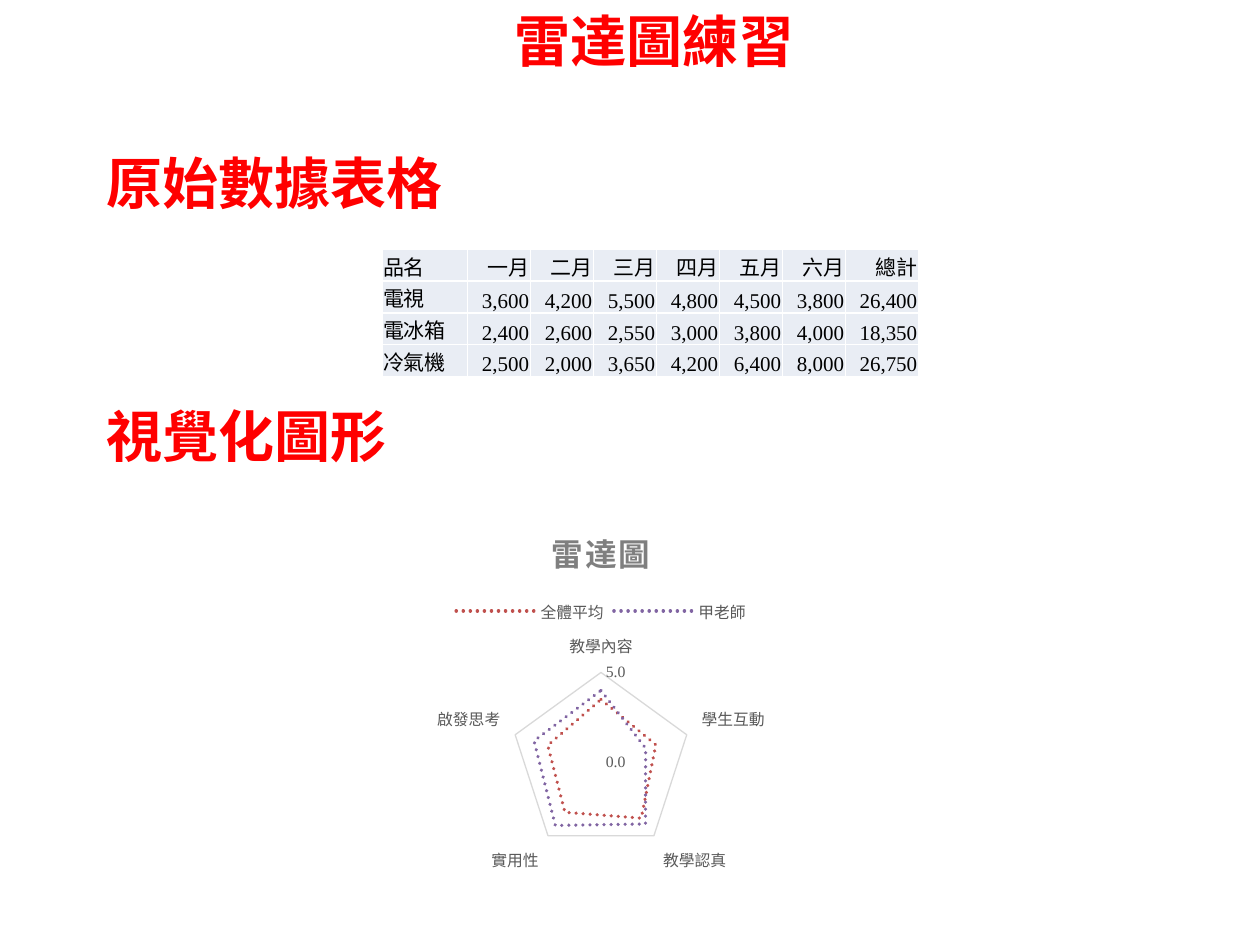
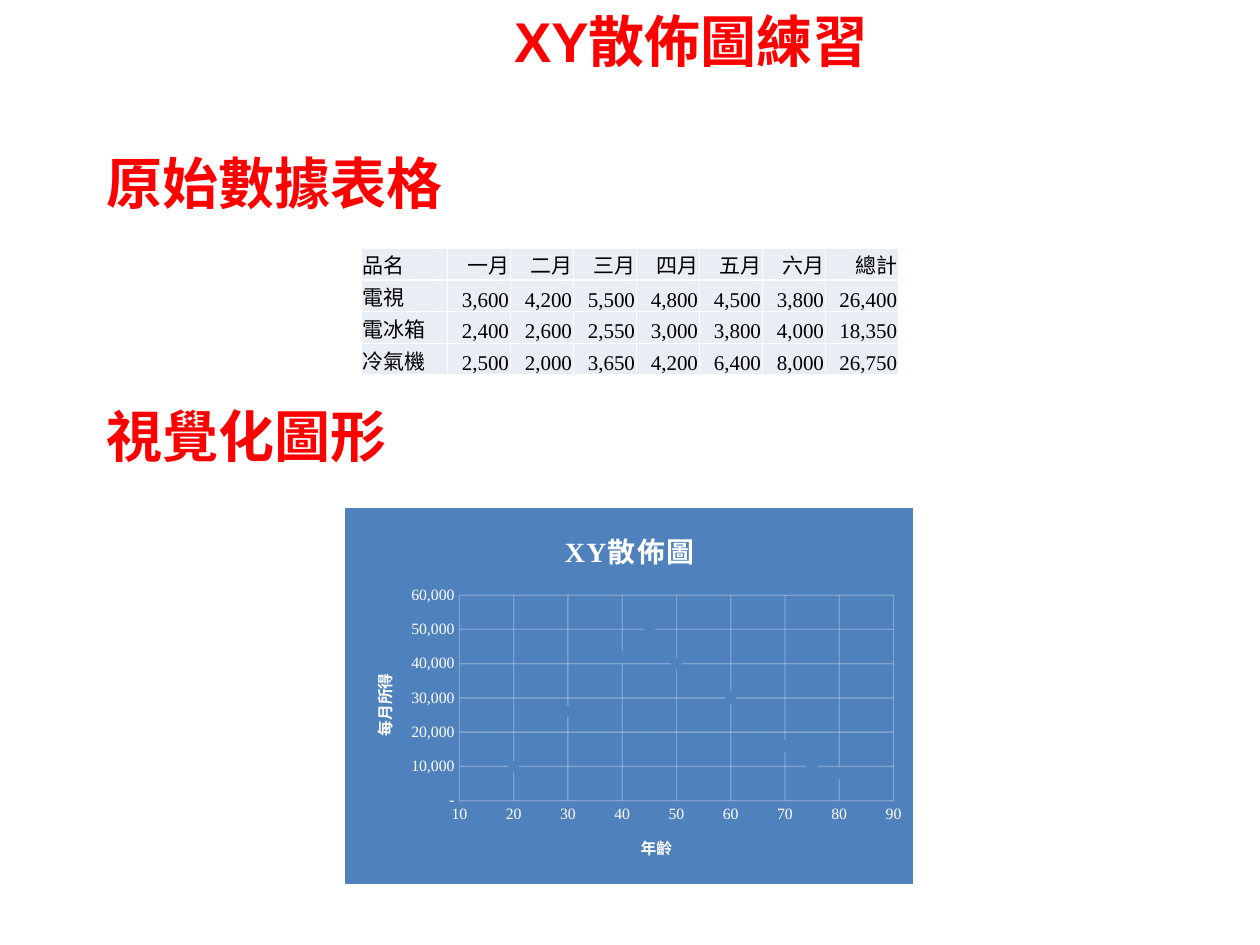
"""Build two practice slides, each with a sales table and a chart: radar and XY scatter."""
from lxml import etree
from pptx import Presentation
from pptx.chart.data import CategoryChartData, XyChartData
from pptx.dml.color import RGBColor
from pptx.enum.chart import XL_CHART_TYPE, XL_LEGEND_POSITION, XL_MARKER_STYLE, XL_TICK_MARK
from pptx.enum.dml import MSO_LINE
from pptx.enum.text import MSO_ANCHOR, MSO_AUTO_SIZE, PP_ALIGN
from pptx.oxml import parse_xml
from pptx.oxml.ns import nsdecls, qn
from pptx.util import Inches, Pt

LEFT, RIGHT = PP_ALIGN.LEFT, PP_ALIGN.RIGHT
TOP, BOTTOM = MSO_ANCHOR.TOP, MSO_ANCHOR.BOTTOM
NO_TICK = XL_TICK_MARK.NONE
NO_MARKER, CIRCLE = XL_MARKER_STYLE.NONE, XL_MARKER_STYLE.CIRCLE
ROUND_DOT = MSO_LINE.ROUND_DOT
LEGEND_TOP = XL_LEGEND_POSITION.TOP
FIXED_SIZE = MSO_AUTO_SIZE.NONE

RED = RGBColor(0xFF, 0x00, 0x00)
BLACK = RGBColor(0x00, 0x00, 0x00)
WHITE = RGBColor(0xFF, 0xFF, 0xFF)
CELL_BLUE = RGBColor(0xE9, 0xED, 0xF4)
LABEL_GRAY = RGBColor(0x59, 0x59, 0x59)
TITLE_GRAY = RGBColor(0x7F, 0x7F, 0x7F)
GRID_GRAY = RGBColor(0xD9, 0xD9, 0xD9)
BLUE = RGBColor(0x4F, 0x81, 0xBD)
BRICK = RGBColor(0xC0, 0x50, 0x4D)
PURPLE = RGBColor(0x80, 0x64, 0xA2)

SERIF = "Times New Roman"
HEADING = {"name": "Arial", "size": Pt(32), "bold": True, "color": RED}
CELL = {"name": SERIF, "size": Pt(12), "bold": False, "color": BLACK}
CELL_BOX = {"margin_left": Inches(0.01), "margin_right": Inches(0.01),
            "margin_top": Inches(0.01), "margin_bottom": 0, "vertical_anchor": BOTTOM}
CHART_TEXT = {"name": SERIF, "size": Pt(10), "color": BLACK}
RADAR_LABEL = {"name": SERIF, "size": Pt(9), "color": LABEL_GRAY}
SCATTER_LABEL = {**RADAR_LABEL, "color": WHITE}
AXIS_TITLE = {**SCATTER_LABEL, "bold": True}
RADAR_TITLE = {"name": SERIF, "size": Pt(18), "bold": True, "color": TITLE_GRAY}
SCATTER_TITLE = {**RADAR_TITLE, "size": Pt(16), "color": WHITE}

TITLE_BOX = (3.98, 0, 4.96, 0.64)
SECTIONS = [("原始數據表格", (0.75, 1.13, 2.99, 0.64)),
            ("視覺化圖形", (0.75, 3.14, 2.99, 0.64))]
SALES = [
    ("品名", "一月", "二月", "三月", "四月", "五月", "六月", "總計"),
    ("電視", "3,600", "4,200", "5,500", "4,800", "4,500", "3,800", "26,400"),
    ("電冰箱", "2,400", "2,600", "2,550", "3,000", "3,800", "4,000", "18,350"),
    ("冷氣機", "2,500", "2,000", "3,650", "4,200", "6,400", "8,000", "26,750"),
]
COLUMN_WIDTHS = [0.68] + [0.5] * 6 + [0.58]
ROW_HEIGHT = 0.23
CRITERIA = ["教學內容", "學生互動", "教學認真", "實用性", "啟發思考"]
RATINGS = [("全體平均", BRICK, (3.5, 3.2, 3.8, 3.4, 3.1)),
           ("甲老師", PURPLE, (4, 2.6, 4.2, 4.3, 3.9))]
AGES = range(15, 81, 5)
INCOMES = [6000, 10000, 15000, 26000, 35000, 42000, 50000,
           40000, 38000, 30000, 25000, 16000, 10000, 8000]
RATING_SCALE = {"minimum_scale": 0, "maximum_scale": 5, "major_unit": 5}
AGE_SCALE = {"minimum_scale": 10, "maximum_scale": 90, "major_unit": 10}
INCOME_SCALE = {"minimum_scale": 0, "maximum_scale": 60000, "major_unit": 10000}


def apply(target, values):
    for attribute, value in values.items():
        setattr(target, attribute, value)


def style_font(font, values):
    apply(font, {key: value for key, value in values.items() if key != "color"})
    font.color.rgb = values["color"]


def style_line(line, color, width):
    line.color.rgb = color
    line.width = Pt(width)


def write(frame, text, font, align=None, spacing=None):
    paragraph = frame.paragraphs[0]
    paragraph.alignment = align
    run = paragraph.add_run()
    run.text = text
    style_font(run.font, font)
    if spacing:
        run._r.get_or_add_rPr().set("spc", str(spacing))


def inches(box):
    return [Inches(length) for length in box]


def add_headings(slide, title_text):
    title = slide.shapes.title
    apply(title, dict(zip(("left", "top", "width", "height"), inches(TITLE_BOX))))
    boxes = [(title, title_text)]
    boxes += [(slide.shapes.add_textbox(*inches(box)), text) for text, box in SECTIONS]
    for box, text in boxes:
        apply(box.text_frame, {"word_wrap": True, "auto_size": FIXED_SIZE, "vertical_anchor": TOP})
        write(box.text_frame, text, HEADING, LEFT)


def add_borders(cell):
    properties = cell._tc.get_or_add_tcPr()
    for position, side in enumerate(("lnL", "lnR", "lnT", "lnB")):
        properties.insert(position, parse_xml(
            f'<a:{side} {nsdecls("a")} w="12700"><a:solidFill>'
            f'<a:srgbClr val="{WHITE}"/></a:solidFill></a:{side}>'))


def add_sales_table(slide, left, top):
    size = (sum(COLUMN_WIDTHS), ROW_HEIGHT * len(SALES))
    table = slide.shapes.add_table(len(SALES), len(COLUMN_WIDTHS), *inches((left, top, *size))).table
    apply(table, {"first_row": False, "horz_banding": False})
    for column, width in zip(table.columns, COLUMN_WIDTHS):
        column.width = Inches(width)
    for r, record in enumerate(SALES):
        table.rows[r].height = Inches(ROW_HEIGHT)
        for c, text in enumerate(record):
            cell = table.cell(r, c)
            apply(cell, CELL_BOX)
            write(cell.text_frame, text, CELL, RIGHT if c else LEFT)
            cell.fill.solid()
            cell.fill.fore_color.rgb = CELL_BLUE
            add_borders(cell)


def add_chart(slide, kind, box, data, title, title_font):
    chart = slide.shapes.add_chart(kind, *inches(box), data).chart
    style_font(chart.font, CHART_TEXT)
    chart.has_title = True
    write(chart.chart_title.text_frame, title, title_font, spacing=100)
    chart.chart_title.include_in_layout = False
    return chart


def style_axis(axis, label, scale, number_format, grid_color):
    apply(axis, {"major_tick_mark": NO_TICK, "minor_tick_mark": NO_TICK,
                 "has_major_gridlines": True, **scale})
    apply(axis.tick_labels, {"number_format": number_format, "number_format_is_linked": False})
    style_font(axis.tick_labels.font, label)
    axis.format.line.fill.background()
    style_line(axis.major_gridlines.format.line, grid_color, 0.75)


def add_radar(slide, box):
    data = CategoryChartData(number_format="0.0")
    data.categories = CRITERIA
    for name, _, scores in RATINGS:
        data.add_series(name, scores)
    chart = add_chart(slide, XL_CHART_TYPE.RADAR, box, data, "雷達圖", RADAR_TITLE)
    style_axis(chart.value_axis, RADAR_LABEL, RATING_SCALE, "0.0", GRID_GRAY)
    criteria_axis = chart.category_axis
    apply(criteria_axis, {"has_major_gridlines": False, "major_tick_mark": NO_TICK})
    style_font(criteria_axis.tick_labels.font, RADAR_LABEL)
    style_line(criteria_axis.format.line, GRID_GRAY, 0.75)
    chart.has_legend = True
    apply(chart.legend, {"position": LEGEND_TOP, "include_in_layout": False})
    style_font(chart.legend.font, RADAR_LABEL)
    for series, (_, color, _) in zip(chart.plots[0].series, RATINGS):
        apply(series, {"smooth": False})
        style_line(series.format.line, color, 2)
        series.format.line.dash_style = ROUND_DOT
        series._element.xpath("c:spPr/a:ln")[0].set("cap", "rnd")
        series.marker.style = NO_MARKER


def add_scatter(slide, box):
    data = XyChartData()
    points = data.add_series("Series 1")
    for age, income in zip(AGES, INCOMES):
        points.add_data_point(age, income)
    chart = add_chart(slide, XL_CHART_TYPE.XY_SCATTER, box, data, "XY散佈圖", SCATTER_TITLE)
    chart.has_legend = False
    chart.plots[0].vary_by_categories = False
    axes = [(chart.category_axis, "年齡", AGE_SCALE, "General"),
            (chart.value_axis, "每月所得", INCOME_SCALE, '#,##0;-#,##0;"-"')]
    for axis, name, scale, number_format in axes:
        style_axis(axis, SCATTER_LABEL, scale, number_format, WHITE)
        write(axis.axis_title.text_frame, name, AXIS_TITLE)
    body = chart.value_axis.axis_title.text_frame._txBody.find(qn("a:bodyPr"))
    apply_rotation = {"rot": "-5400000", "vert": "horz"}
    for attribute, value in apply_rotation.items():
        body.set(attribute, value)
    space = chart._chartSpace
    for color in space.xpath(".//c:majorGridlines//a:srgbClr"):
        etree.SubElement(color, qn("a:alpha")).set("val", "25000")
    paint = f'<a:solidFill><a:srgbClr val="{BLUE}"/></a:solidFill>'
    space.find(qn("c:chart")).addnext(parse_xml(
        f'<c:spPr {nsdecls("c", "a")}>{paint}<a:ln w="9525">{paint}</a:ln></c:spPr>'))
    series = chart.plots[0].series[0]
    series.format.line.fill.background()
    apply(series.marker, {"style": CIRCLE, "size": 6})
    series.marker.format.fill.solid()
    series.marker.format.fill.fore_color.rgb = BLUE
    style_line(series.marker.format.line, BLUE, 0.75)


SLIDES = [
    ("雷達圖練習", (3.03, 1.98), add_radar, (2.56, 4.02, 4.42, 2.95)),
    ("XY散佈圖練習", (2.87, 1.97), add_scatter, (2.74, 4.03, 4.51, 2.99)),
]

presentation = Presentation()
presentation.slide_width, presentation.slide_height = Inches(10), Inches(7.5)
for title_text, table_corner, add_graph, graph_box in SLIDES:
    slide = presentation.slides.add_slide(presentation.slide_layouts[5])
    add_headings(slide, title_text)
    add_sales_table(slide, *table_corner)
    add_graph(slide, graph_box)
presentation.save("out.pptx")
